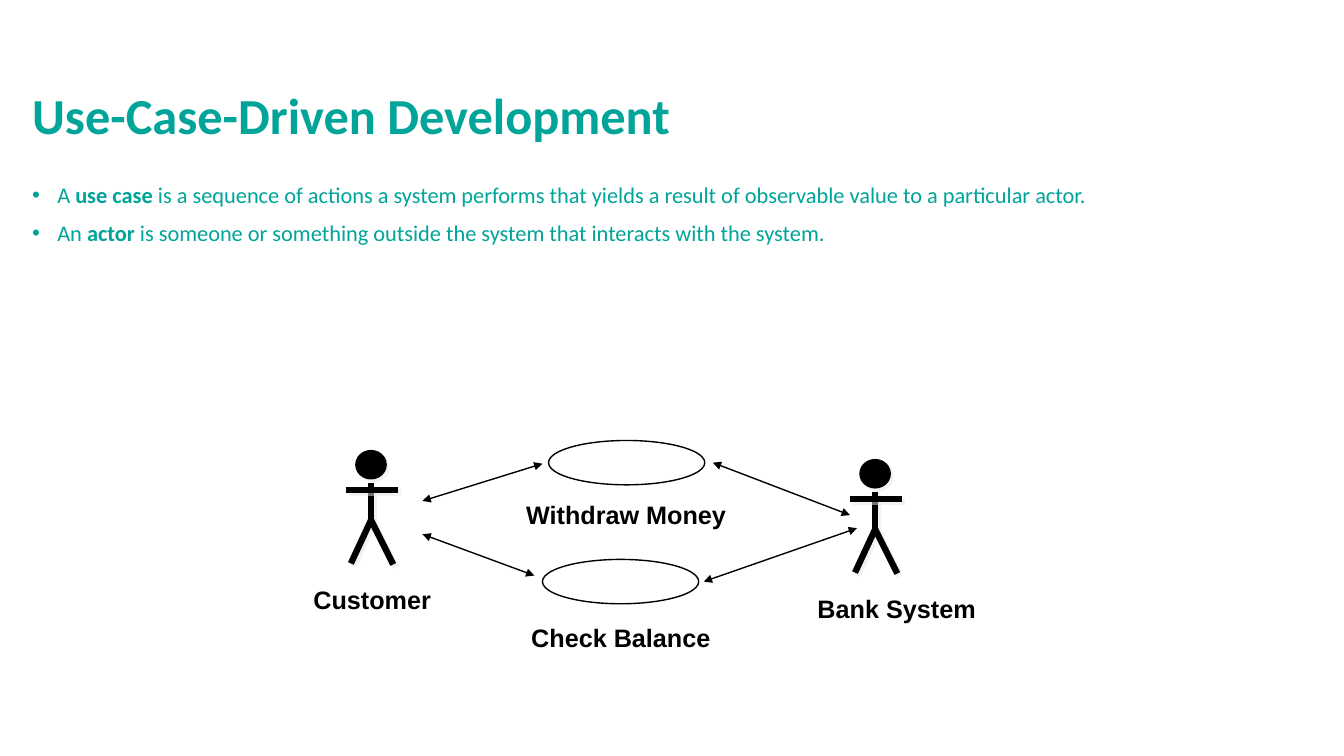
"""Build a slide that defines use cases and actors with a banking diagram."""
from lxml import etree
from pptx import Presentation
from pptx import util as u
from pptx.dml.color import RGBColor
from pptx.enum import shapes, text
from pptx.oxml import ns

COLORS = {"teal": "00A499", "ink": "000000", "shade": "E7E6E6"}
SIZE = (13.33, 7.5)
TITLE = "Use-Case-Driven Development"
BULLETS = [
    [("A ", False), ("use case", True),
     (" is a sequence of actions a system performs that yields a result"
      " of observable value to a particular actor.", False)],
    [("An ", False), ("actor", True),
     (" is someone or something outside the system that interacts with the system.", False)],
]
TITLE_BOX = (0.22, 0.72, 12.9, 0.77)
BODY_BOX = (0.22, 1.78, 12.9, 5.01)
ACTORS = [(3.43, 4.47), (8.43, 4.56)]
HEAD = (0.1, 0, 0.3, 0.28)
LIMBS = [
    (0.25, 0.32, 0.25, 0.72),
    (0, 0.39, 0.52, 0.39),
    (0.25, 0.69, 0.05, 1.12),
    (0.25, 0.69, 0.47, 1.13),
]
USE_CASES = [(5.44, 4.37), (5.38, 5.55)]
OVAL = (1.55, 0.44)
LABELS = [
    ("Customer", 3.01, 5.75, 1.37),
    ("Bank System", 8.01, 5.84, 1.84),
    ("Withdraw Money", 5.12, 4.9, 2.19),
    ("Check Balance", 5.17, 6.12, 1.98),
]
LABEL_HEIGHT = 0.4
ARROWS = [
    (4.19, 4.97, 5.38, 4.6),
    (4.19, 5.3, 5.3, 5.71),
    (7.07, 4.59, 8.43, 5.11),
    (6.98, 5.77, 8.5, 5.24),
]
FORMATS = {
    "title": {"name": "Calibri", "size": u.Pt(36), "bold": True},
    "body": {"name": "Calibri", "size": u.Pt(16)},
    "label": {"name": "Arial", "size": u.Pt(18), "bold": True},
}


def rgb(name):
    return RGBColor.from_string(COLORS[name])


def inches(values):
    return [u.Inches(v) for v in values]


def add_node(parent, tag, **attrs):
    return etree.SubElement(parent, ns.qn(tag), attrs)


def add_run(p, words, style, color, **extra):
    r = p.add_run()
    r.text = words
    for key, value in {**FORMATS[style], **extra}.items():
        setattr(r.font, key, value)
    r.font.color.rgb = rgb(color)


def add_box(s, box, wrap=True):
    tf = s.shapes.add_textbox(*inches(box)).text_frame
    tf.word_wrap = wrap
    return tf


def add_bullet(p):
    pr = p._p.get_or_add_pPr()
    pr.set("marL", str(u.Inches(0.25)))
    pr.set("indent", str(-u.Inches(0.25)))
    add_node(pr, "a:buFont", typeface="Arial")
    add_node(pr, "a:buChar", char="•")


def add_shadow(effects):
    shadow = add_node(effects, "a:outerShdw", dist=str(u.Pt(2.8)), dir="2700000",
                      algn="ctr", rotWithShape="0")
    color = add_node(shadow, "a:srgbClr", val=COLORS["shade"])
    add_node(color, "a:alpha", val="50000")


def add_oval(parent, box):
    sp = parent.add_shape(shapes.MSO_SHAPE.OVAL, *inches(box))
    sp.shadow.inherit = False
    sp.fill.background()
    sp.line.color.rgb = rgb("ink")
    sp.line.width = u.Pt(1)
    return sp


def add_line(parent, ends, width):
    line = parent.add_connector(shapes.MSO_CONNECTOR.STRAIGHT, *inches(ends))
    line.line.color.rgb = rgb("ink")
    line.line.width = u.Pt(width)
    return line, add_node(line._element.spPr, "a:effectLst")


def add_actor(s, x, y):
    parts = s.shapes.add_group_shape().shapes
    dx, dy, w, h = HEAD
    head = add_oval(parts, (x + dx, y + dy, w, h))
    head.fill.solid()
    head.fill.fore_color.rgb = rgb("ink")
    add_shadow(head._element.spPr.find(ns.qn("a:effectLst")))
    for x1, y1, x2, y2 in LIMBS:
        effects = add_line(parts, (x + x1, y + y1, x + x2, y + y2), 4.5)[1]
        add_shadow(effects)


def main():
    prs = Presentation()
    prs.slide_width, prs.slide_height = inches(SIZE)
    s = prs.slides.add_slide(prs.slide_layouts[6])

    tf = add_box(s, TITLE_BOX)
    tf.vertical_anchor = text.MSO_ANCHOR.BOTTOM
    tf.paragraphs[0].line_spacing = 0.9
    add_run(tf.paragraphs[0], TITLE, "title", "teal")

    tf = add_box(s, BODY_BOX)
    for i, runs in enumerate(BULLETS):
        p = tf.add_paragraph() if i else tf.paragraphs[0]
        add_bullet(p)
        p.line_spacing = 0.9
        p.space_before = u.Pt(10 if i else 0)
        for words, bold in runs:
            add_run(p, words, "body", "teal", bold=bold)

    for x, y in ACTORS:
        add_actor(s, x, y)
    for corner in USE_CASES:
        add_oval(s.shapes, corner + OVAL)
    for words, *box in LABELS:
        tf = add_box(s, (*box, LABEL_HEIGHT), wrap=False)
        add_run(tf.paragraphs[0], words, "label", "ink")
    for ends in ARROWS:
        ln = add_line(s.shapes, ends, 1)[0].line._get_or_add_ln()
        for tag in ("a:headEnd", "a:tailEnd"):
            add_node(ln, tag, type="triangle")

    prs.save("out.pptx")


if __name__ == "__main__":
    main()
